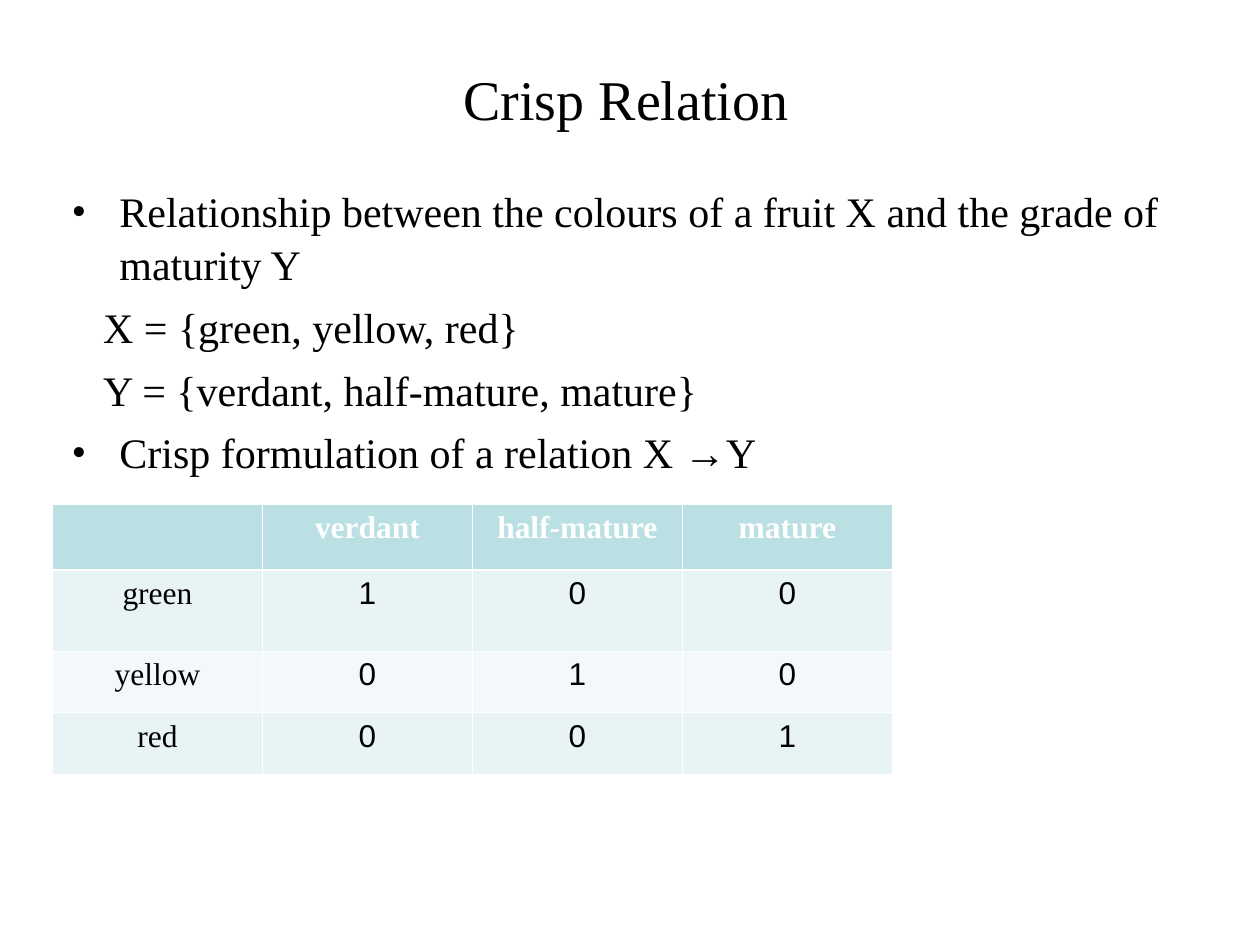
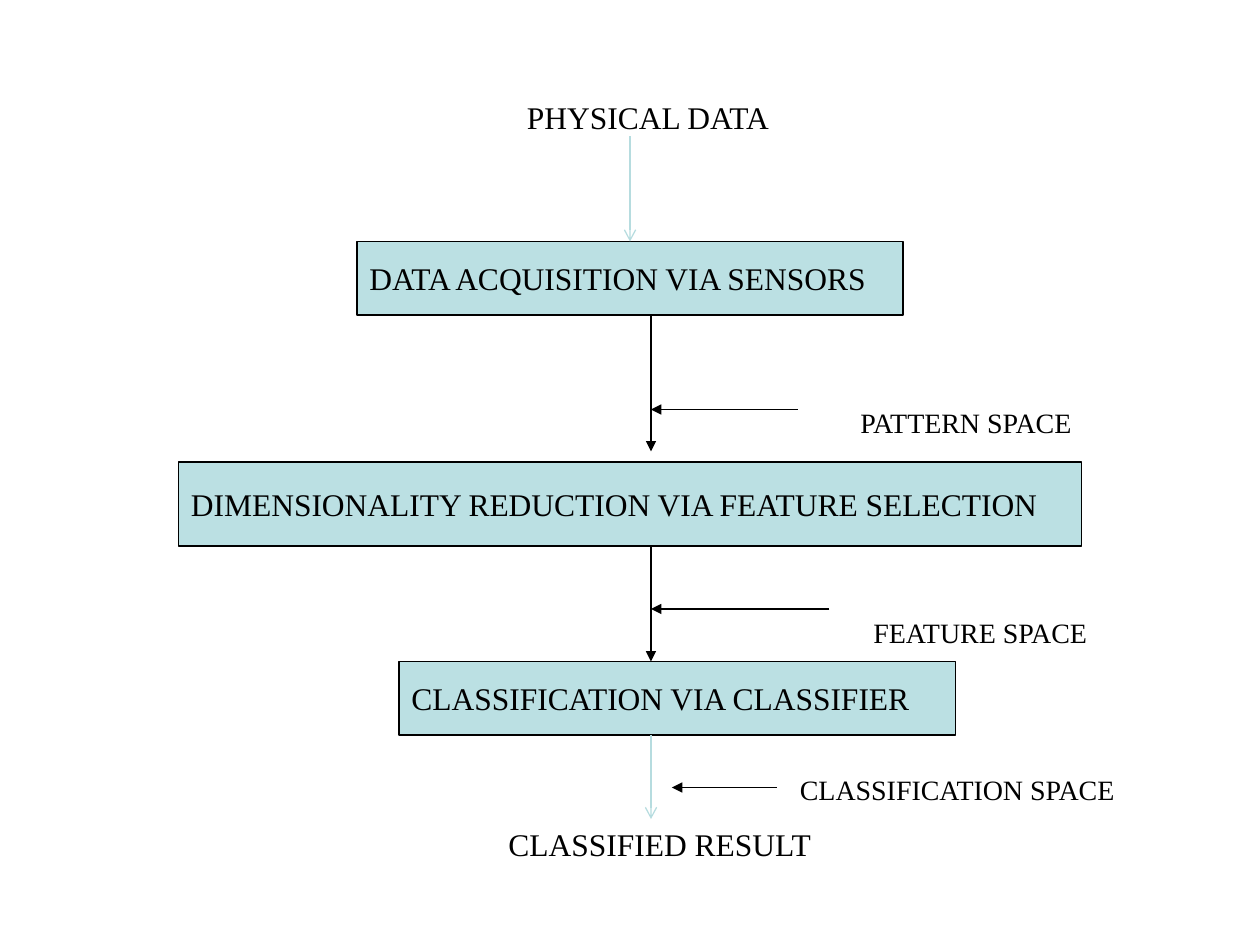
from dataclasses import dataclass

from lxml.etree import SubElement
from pptx import Presentation
from pptx.dml.color import RGBColor
from pptx.enum.shapes import MSO_CONNECTOR, MSO_SHAPE
from pptx.enum.text import MSO_ANCHOR, PP_ALIGN
from pptx.oxml.ns import qn
from pptx.util import Emu, Inches, Pt

COLORS = {
    "ink": "000000",
    "paper": "FFFFFF",
    "teal": "BBE0E3",
    "arrow": "B6DCDF",
    "band_dark": "E7F3F4",
    "band_light": "F3F9FA",
}
SERIF = "Times New Roman"
SANS = "Arial"
SLIDE_WIDTH = Inches(10)
SLIDE_HEIGHT = Inches(7.5)
COLUMNS, ROWS = 120, 90


@dataclass(frozen=True)
class Area:
    """A rectangle in grid columns and rows."""
    left: float
    top: float
    width: float
    height: float

    def lengths(self) -> tuple[Emu, Emu, Emu, Emu]:
        return (across(self.left), down(self.top),
                across(self.width), down(self.height))


@dataclass(frozen=True)
class Step:
    text: str
    area: Area


@dataclass(frozen=True)
class Label:
    text: str
    area: Area
    size: float = 16


@dataclass(frozen=True)
class Arrow:
    start: tuple[float, float]
    end: tuple[float, float]
    color: str = "ink"
    head: str = "triangle"


@dataclass(frozen=True)
class Line:
    """A body paragraph made of (text, font) spans."""
    spans: tuple[tuple[str, str], ...]
    bullet: bool = False


BODY_LINES = (
    Line((("Relationship between the colours of a fruit X and the grade of "
           "maturity Y", SERIF),), bullet=True),
    Line((("X = {green, yellow, red}", SERIF),)),
    Line((("Y = {verdant, half-mature, mature}", SERIF),)),
    Line((("Crisp formulation of a relation X ", SERIF), ("→", SANS),
          ("Y", SERIF)), bullet=True),
)

RELATION = (
    ("", "verdant", "half-mature", "mature"),
    ("green", "1", "0", "0"),
    ("yellow", "0", "1", "0"),
    ("red", "0", "0", "1"),
)
RELATION_ROW_HEIGHTS = (6.3, 7.7, 5.9, 5.9)
RELATION_COLUMN_WIDTH = 20

STEPS = (
    Step("DATA ACQUISITION VIA SENSORS", Area(34, 23, 52, 7)),
    Step("DIMENSIONALITY REDUCTION VIA FEATURE SELECTION",
         Area(17, 44, 86, 8)),
    Step("CLASSIFICATION VIA CLASSIFIER", Area(38, 63, 53, 7)),
)
LABELS = (
    Label("PHYSICAL DATA", Area(49, 8.75, 36, 4.75), size=18),
    Label("PATTERN SPACE", Area(80.75, 38, 24.25, 4.5)),
    Label("FEATURE SPACE", Area(82, 58, 29, 4.5)),
    Label("CLASSIFICATION SPACE", Area(75, 73, 35.25, 4.5)),
    Label("CLASSIFIED RESULT", Area(47.25, 78, 38.75, 4.75), size=18),
)
ARROWS = (
    Arrow((62, 30), (62, 43)),
    Arrow((62, 52), (62, 63)),
    Arrow((76, 39), (62, 39)),
    Arrow((79, 58), (62, 58)),
    Arrow((74, 75), (64, 75)),
    Arrow((60, 13), (60, 23), "arrow", "arrow"),
    Arrow((62, 70), (62, 78), "arrow", "arrow"),
)


def across(columns: float) -> Emu:
    return Emu(round(SLIDE_WIDTH * columns / COLUMNS))


def down(rows: float) -> Emu:
    return Emu(round(SLIDE_HEIGHT * rows / ROWS))


def rgb(name: str) -> RGBColor:
    return RGBColor.from_string(COLORS[name])


def write_text(paragraph, text: str, *, size: float = 18, font: str = SERIF,
               color: str = "ink", bold: bool = False,
               align=PP_ALIGN.LEFT) -> None:
    """Append one formatted span to the paragraph."""
    paragraph.alignment = align
    span = paragraph.add_run()
    span.text = text
    span.font.size = Pt(size)
    span.font.name = font
    span.font.bold = bold
    span.font.color.rgb = rgb(color)


def indent(paragraph, margin: float, hanging: float = 0,
           bullet: str = "") -> None:
    """Set the margin and hanging indent in inches, with an optional bullet."""
    properties = paragraph._p.get_or_add_pPr()
    properties.set("marL", str(Inches(margin)))
    properties.set("indent", str(-Inches(hanging)))
    if bullet:
        SubElement(properties, qn("a:buFont"), typeface=SERIF)
        SubElement(properties, qn("a:buChar"), char=bullet)


def add_text_box(page, area: Area):
    frame = page.shapes.add_textbox(*area.lengths()).text_frame
    frame.word_wrap = True
    return frame


def add_title(page, text: str) -> None:
    title = page.shapes.title
    title.left, title.top, title.width, title.height = Area(
        5.64, 2.76, 108, 13.08).lengths()
    title.text_frame.vertical_anchor = MSO_ANCHOR.MIDDLE
    write_text(title.text_frame.paragraphs[0], text, size=32,
               align=PP_ALIGN.CENTER)


def add_body(page, lines: tuple[Line, ...]) -> None:
    frame = add_text_box(page, Area(5.64, 16.92, 108, 64.68))
    for number, line in enumerate(lines):
        paragraph = frame.add_paragraph() if number else frame.paragraphs[0]
        if line.bullet:
            indent(paragraph, 0.38, hanging=0.38, bullet="•")
        else:
            indent(paragraph, 0.25)
        paragraph.line_spacing = 1.04
        if number:
            paragraph.space_before = Pt(6)
        for text, font in line.spans:
            write_text(paragraph, text, size=24, font=font)


def add_borders(cell, top: float, bottom: float) -> None:
    """Draw white cell borders; top and bottom widths are in points."""
    properties = cell._tc.get_or_add_tcPr()
    widths = {"lnL": 0.45, "lnR": 0.45, "lnT": top, "lnB": bottom}
    for side, width in widths.items():
        border = SubElement(properties, qn(f"a:{side}"), w=str(Pt(width)))
        fill = SubElement(border, qn("a:solidFill"))
        SubElement(fill, qn("a:srgbClr"), val=COLORS["paper"])


def add_relation_table(page) -> None:
    column_count = len(RELATION[0])
    area = Area(5, 48, column_count * RELATION_COLUMN_WIDTH,
                sum(RELATION_ROW_HEIGHTS))
    table = page.shapes.add_table(len(RELATION), column_count,
                                  *area.lengths()).table
    table.horz_banding = False
    for column in table.columns:
        column.width = across(RELATION_COLUMN_WIDTH)
    fills = ("teal", "band_dark", "band_light", "band_dark")
    for row, (values, height, fill) in enumerate(
            zip(RELATION, RELATION_ROW_HEIGHTS, fills)):
        table.rows[row].height = down(height)
        header = row == 0
        for column, value in enumerate(values):
            cell = table.cell(row, column)
            add_borders(cell, top=1.47 if row == 1 else 0.45,
                        bottom=1.47 if header else 0.45)
            cell.fill.solid()
            cell.fill.fore_color.rgb = rgb(fill)
            if value:
                write_text(cell.text_frame.paragraphs[0], value,
                           font=SANS if value.isdigit() else SERIF,
                           color="paper" if header else "ink",
                           bold=header, align=PP_ALIGN.CENTER)


def add_step(page, step: Step) -> None:
    box = page.shapes.add_shape(MSO_SHAPE.RECTANGLE, *step.area.lengths())
    box.shadow.inherit = False
    box.fill.solid()
    box.fill.fore_color.rgb = rgb("teal")
    box.line.color.rgb = rgb("ink")
    box.line.width = Pt(0.75)
    box.text_frame.word_wrap = True
    box.text_frame.vertical_anchor = MSO_ANCHOR.MIDDLE
    write_text(box.text_frame.paragraphs[0], step.text)


def add_label(page, label: Label) -> None:
    frame = add_text_box(page, label.area)
    write_text(frame.paragraphs[0], label.text, size=label.size)


def add_arrow(page, arrow: Arrow) -> None:
    (start_x, start_y), (end_x, end_y) = arrow.start, arrow.end
    connector = page.shapes.add_connector(
        MSO_CONNECTOR.STRAIGHT, across(start_x), down(start_y),
        across(end_x), down(end_y))
    connector.line.color.rgb = rgb(arrow.color)
    connector.line.width = Pt(0.75)
    SubElement(connector.line._get_or_add_ln(), qn("a:tailEnd"),
               type=arrow.head)
    SubElement(connector._element.spPr, qn("a:effectLst"))


def build_relation_slide(deck) -> None:
    page = deck.slides.add_slide(deck.slide_layouts.get_by_name("Title Only"))
    add_title(page, "Crisp Relation")
    add_body(page, BODY_LINES)
    add_relation_table(page)


def build_process_slide(deck) -> None:
    page = deck.slides.add_slide(deck.slide_layouts.get_by_name("Blank"))
    for step in STEPS:
        add_step(page, step)
    for label in LABELS:
        add_label(page, label)
    for arrow in ARROWS:
        add_arrow(page, arrow)


def main() -> None:
    deck = Presentation()
    deck.slide_width, deck.slide_height = SLIDE_WIDTH, SLIDE_HEIGHT
    build_relation_slide(deck)
    build_process_slide(deck)
    deck.save("out.pptx")


if __name__ == "__main__":
    main()
